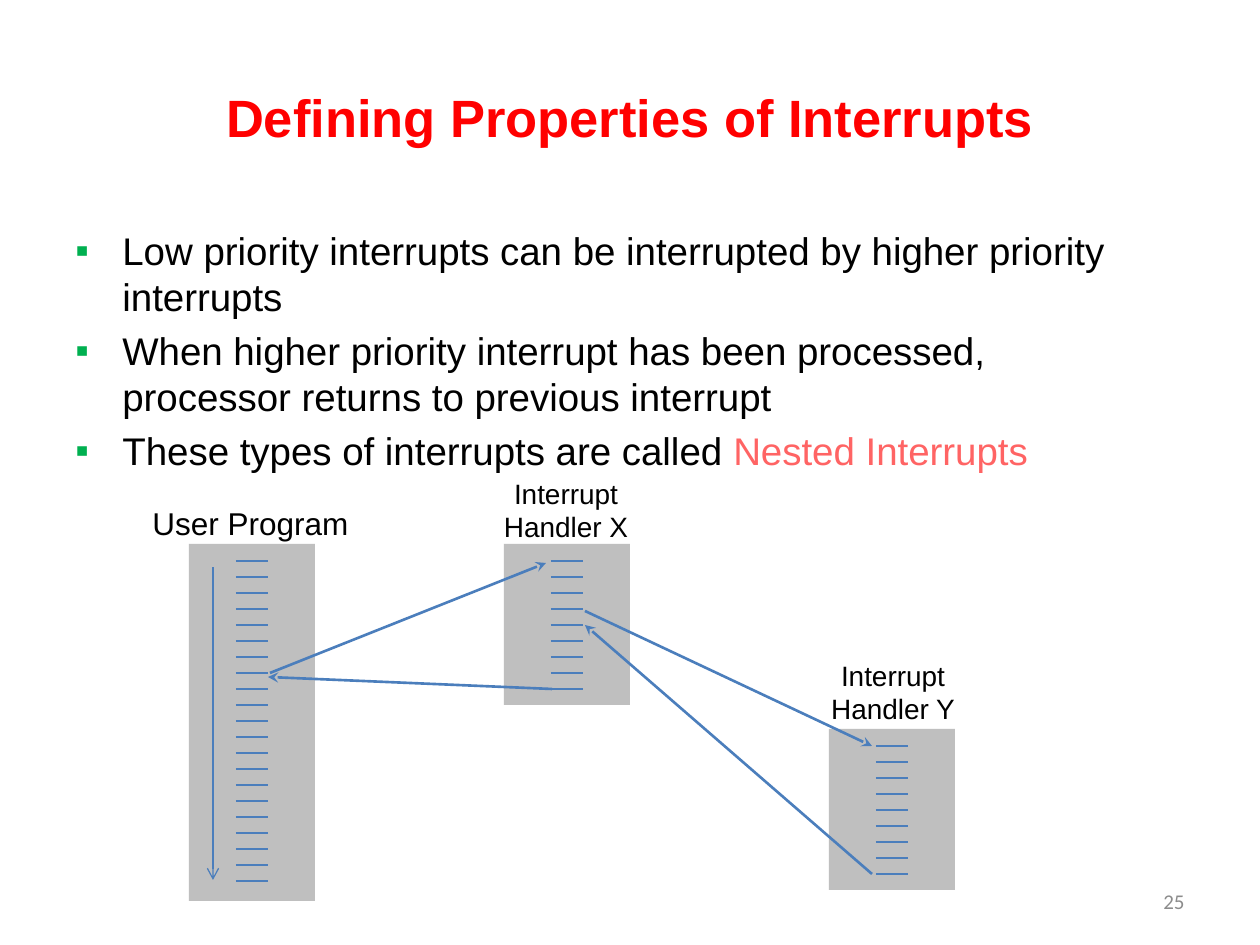
from lxml.etree import SubElement
from pptx import Presentation
from pptx.dml.color import RGBColor
from pptx.enum.shapes import MSO_CONNECTOR, MSO_SHAPE
from pptx.enum.text import MSO_ANCHOR, PP_ALIGN
from pptx.oxml.ns import qn
from pptx.util import Emu, Pt

RED = RGBColor(0xFF, 0x00, 0x00)
CORAL = RGBColor(0xFF, 0x64, 0x64)
BLACK = RGBColor(0x00, 0x00, 0x00)
BLUE = RGBColor(0x4B, 0x7E, 0xBC)
GREEN = RGBColor(0x00, 0xB0, 0x50)
SILVER = RGBColor(0xBF, 0xBF, 0xBF)
GREY = RGBColor(0x8C, 0x8C, 0x8C)

# Content
TITLE = "Defining Properties of Interrupts"
BULLETS = [
    [("Low priority interrupts can be interrupted by higher priority interrupts", BLACK)],
    [("When higher priority interrupt has been processed, "
      "processor returns to previous interrupt", BLACK)],
    [("These types of interrupts are called ", BLACK), ("Nested Interrupts", CORAL)],
]
# Code blocks: left, top, height, number of instructions
BLOCKS = [(189, 544, 357, 21), (504, 544, 161, 9), (829, 729, 161, 9)]
# Labels: text, place, size, font, colour, alignment, wrap, anchor
LABELS = [
    ("User Program", (140, 498, 223, 50), 18, "Arial", BLACK, PP_ALIGN.LEFT, False, MSO_ANCHOR.TOP),
    ("Interrupt Handler X", (486, 470, 160, 81), 16, "Arial", BLACK, PP_ALIGN.CENTER, True, MSO_ANCHOR.TOP),
    ("Interrupt Handler Y", (813, 652, 160, 81), 16, "Arial", BLACK, PP_ALIGN.CENTER, True, MSO_ANCHOR.TOP),
    ("25", (903, 876, 294, 50), 12, "Calibri", GREY, PP_ALIGN.RIGHT, True, MSO_ANCHOR.MIDDLE),
]
# Arrows: start, end, width, head
ARROWS = [
    ((585, 611), (872, 746), 1.5, "stealth"),
    ((270, 673), (546, 563), 1.5, "stealth"),
    ((552, 689), (268, 677), 1.5, "stealth"),
    ((872, 874), (585, 625), 1.5, "stealth"),
    ((213, 567), (213, 880), 0.75, "arrow"),
]
BLOCK_WIDTH, TICK_WIDTH, TICK_TOP, TICK_STEP = 126, 32, 17, 16


def px(length):
    return Emu(round(length * 914400 / 126))


def place(shape, box):
    shape.left, shape.top, shape.width, shape.height = map(px, box)


def style(font, name, size, color, bold=False):
    font.name, font.size, font.bold = name, Pt(size), bold
    font.color.rgb = color


def add_line(shapes, start, end, width=1.5, head=None):
    line = shapes.add_connector(MSO_CONNECTOR.STRAIGHT, *map(px, start + end))
    line.line.color.rgb = BLUE
    line.line.width = Pt(width)
    if head:
        SubElement(line.line._get_or_add_ln(), qn("a:tailEnd"), type=head)
    SubElement(line._element.spPr, qn("a:effectLst"))


def add_bullet(para):
    props = para._p.get_or_add_pPr()
    props.set("marL", str(px(47)))
    props.set("indent", str(-px(47)))
    color = SubElement(props, qn("a:buClr"))
    SubElement(color, qn("a:srgbClr"), val=str(GREEN))
    SubElement(props, qn("a:buFont"), typeface="Arial")
    SubElement(props, qn("a:buChar"), char="▪")


deck = Presentation()
deck.slide_width, deck.slide_height = px(1260), px(945)
page = deck.slides.add_slide(deck.slide_layouts[5])

# Title
title = page.shapes.title
place(title, (63, 38, 1134, 158))
title.text_frame.text = TITLE
title.text_frame.vertical_anchor = MSO_ANCHOR.MIDDLE
title_para = title.text_frame.paragraphs[0]
title_para.alignment = PP_ALIGN.CENTER
style(title_para.runs[0].font, "Arial", 30, RED, True)

# Bullets
body = page.shapes.add_textbox(*map(px, (63, 221, 1103, 283))).text_frame
body.word_wrap = True
for index, parts in enumerate(BULLETS):
    para = body.add_paragraph() if index else body.paragraphs[0]
    add_bullet(para)
    if index:
        para.space_before = Pt(4.4)
    for text, color in parts:
        span = para.add_run()
        span.text = text
        style(span.font, "Arial", 22, color)

# Code blocks with evenly spaced instructions
for left, top, height, count in BLOCKS:
    group = page.shapes.add_group_shape().shapes
    block = group.add_shape(MSO_SHAPE.RECTANGLE, *map(px, (left, top, BLOCK_WIDTH, height)))
    block.shadow.inherit = False
    block.fill.solid()
    block.fill.fore_color.rgb = SILVER
    block.line.fill.background()
    tick_left = left + (BLOCK_WIDTH - TICK_WIDTH) // 2
    for row in range(count):
        y = top + TICK_TOP + row * TICK_STEP
        add_line(group, (tick_left, y), (tick_left + TICK_WIDTH, y))

# Labels and page number
for text, box, size, font, color, alignment, wrap, anchor in LABELS:
    frame = page.shapes.add_textbox(*map(px, box)).text_frame
    frame.word_wrap = wrap
    frame.vertical_anchor = anchor
    frame.text = text
    para = frame.paragraphs[0]
    para.alignment = alignment
    style(para.runs[0].font, font, size, color)

# Control flow
for start, end, width, head in ARROWS:
    add_line(page.shapes, start, end, width, head)

deck.save("out.pptx")
